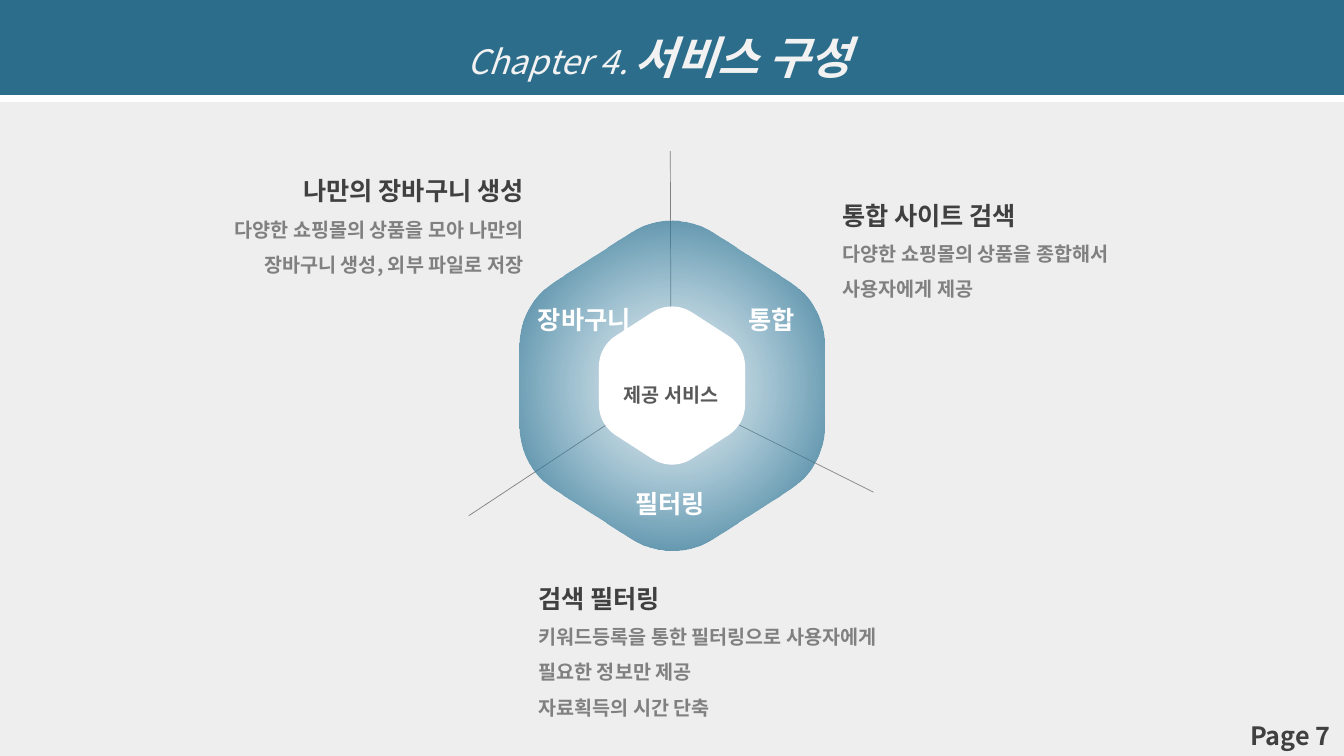
from dataclasses import dataclass
from math import atan2, cos, pi, sin

from lxml import etree
from pptx import Presentation
from pptx import util as u
from pptx.dml.color import RGBColor
from pptx.enum import shapes, text
from pptx.oxml import ns, parse_xml

LEFT, CENTER, RIGHT = text.PP_ALIGN.LEFT, text.PP_ALIGN.CENTER, text.PP_ALIGN.RIGHT


@dataclass(frozen=True)
class Theme:
    font: str = "Noto Sans CJK KR"
    background: str = "EEEEEE"
    banner: str = "2C6D8B"
    glow: str = "4CA0C6"
    white: str = "FFFFFF"
    title: str = "F2F2F2"
    heading: str = "404040"
    core: str = "595959"
    detail: str = "808080"
    title_size: int = 32
    chapter_size: int = 24
    heading_size: int = 18
    detail_size: int = 14
    divider_width: float = 0.5


@dataclass(frozen=True)
class Area:
    column: float
    row: float
    columns: float
    rows: float


@dataclass(frozen=True)
class Line:
    words: str
    size: int
    color: str
    bold: bool = True


@dataclass(frozen=True)
class Caption:
    area: Area
    heading: str
    details: tuple[str, ...]
    align: text.PP_ALIGN = LEFT


@dataclass(frozen=True)
class Label:
    area: Area
    line: Line


@dataclass(frozen=True)
class Divider:
    start: tuple[float, float]
    end: tuple[float, float]


THEME = Theme()
COLUMNS, ROWS = 160, 90
SLIDE_WIDTH, SLIDE_HEIGHT = u.Inches(13.33), u.Inches(7.5)

TITLE_AREA = Area(54.4, 2.9, 52.8, 7.7)
BANNER_AREA = Area(0, 0, COLUMNS, 11.3)
PAGE = Label(Area(147.2, 85.2, 12.8, 4.8),
             Line("Page 7", THEME.heading_size, THEME.heading))

CAPTIONS = (
    Caption(Area(99.1, 21.4, 43.1, 14.6), "통합 사이트 검색",
            ("다양한 쇼핑몰의 상품을 종합해서 사용자에게 제공",)),
    Caption(Area(62.9, 67, 43.1, 18.8), "검색 필터링",
            ("키워드등록을 통한 필터링으로 사용자에게 필요한 정보만 제공",
             "자료획득의 시간 단축")),
    Caption(Area(20.4, 18.5, 43.1, 14.6), "나만의 장바구니 생성",
            ("다양한 쇼핑몰의 상품을 모아 나만의 장바구니 생성, 외부 파일로 저장",), RIGHT),
)
LABELS = (
    Label(Area(72.4, 43.6, 15, 4.9), Line("제공 서비스", THEME.detail_size, THEME.core)),
    Label(Area(87.6, 33.8, 8.5, 6), Line("통합", THEME.heading_size, THEME.white)),
    Label(Area(62.3, 33.8, 14.5, 6), Line("장바구니", THEME.heading_size, THEME.white)),
    Label(Area(74, 55.7, 11.5, 6), Line("필터링", THEME.heading_size, THEME.white)),
)
DIVIDERS = (
    Divider((80.4, 46.8), (104, 58.6)),
    Divider((55.8, 61.4), (78.8, 46.2)),
    Divider((79.9, 48.4), (79.8, 18)),
)

HEXAGON_CENTER = (80, 45.9)
CORNER_RADIUS = 9
TIP_REACH = 10.62
SIDE_REACH = (9.12, 4.74)
CORE_SCALE = 0.48
ARC_STEPS = 12


def x(column: float) -> int:
    return round(SLIDE_WIDTH * column / COLUMNS)


def y(row: float) -> int:
    return round(SLIDE_HEIGHT * row / ROWS)


def box(area: Area) -> tuple[int, int, int, int]:
    return x(area.column), y(area.row), x(area.columns), y(area.rows)


def rgb(color: str) -> RGBColor:
    return RGBColor.from_string(color)


def style(paragraph, color: str) -> None:
    paragraph.font.name = THEME.font
    paragraph.font.color.rgb = rgb(color)
    defaults = paragraph._p.pPr.find(ns.qn("a:defRPr"))
    etree.SubElement(defaults, ns.qn("a:ea"), typeface=THEME.font)


def add_text(slide, area: Area, lines: list[Line], align: text.PP_ALIGN,
             wrap: bool = True, spacing: float = 1.5) -> None:
    frame = slide.shapes.add_textbox(*box(area)).text_frame
    frame.word_wrap = wrap
    frame.auto_size = text.MSO_AUTO_SIZE.SHAPE_TO_FIT_TEXT
    for number, line in enumerate(lines):
        paragraph = frame.add_paragraph() if number else frame.paragraphs[0]
        paragraph.text = line.words
        paragraph.alignment = align
        paragraph.line_spacing = spacing
        style(paragraph, line.color)
        paragraph.font.size = u.Pt(line.size)
        paragraph.font.bold = line.bold


def add_banner(slide) -> None:
    banner = slide.shapes.add_shape(shapes.MSO_SHAPE.RECTANGLE, *box(BANNER_AREA))
    banner.fill.solid()
    banner.fill.fore_color.rgb = rgb(THEME.banner)
    banner.line.fill.background()
    banner._element.spPr.append(parse_xml(
        f'<a:effectLst {ns.nsdecls("a")}><a:outerShdw dist="{u.Pt(5)}" dir="5400000" '
        f'algn="t" rotWithShape="0"><a:srgbClr val="{THEME.white}"/>'
        '</a:outerShdw></a:effectLst>'))


def add_title(slide) -> None:
    title = slide.shapes.title
    title.left, title.top, title.width, title.height = box(TITLE_AREA)
    frame = title.text_frame
    frame.vertical_anchor = text.MSO_ANCHOR.TOP
    frame.auto_size = text.MSO_AUTO_SIZE.SHAPE_TO_FIT_TEXT
    paragraph = frame.paragraphs[0]
    paragraph.alignment = LEFT
    style(paragraph, THEME.title)
    paragraph.font.italic = True
    for words, size, bold in (("Chapter 4. ", THEME.chapter_size, False),
                              ("서비스 구성", THEME.title_size, True)):
        run = paragraph.add_run()
        run.text = words
        run.font.size = u.Pt(size)
        run.font.bold = bold
    slide.shapes._spTree.append(title._element)


def add_divider(slide, divider: Divider) -> None:
    (x1, y1), (x2, y2) = divider.start, divider.end
    line = slide.shapes.add_connector(
        shapes.MSO_CONNECTOR.STRAIGHT, x(x1), y(y1), x(x2), y(y2))
    line.line.color.rgb = rgb(THEME.detail)
    line.line.width = u.Pt(THEME.divider_width)
    etree.SubElement(line._element.spPr, ns.qn("a:effectLst"))


def hexagon_points(scale: float) -> list[tuple[int, int]]:
    across, down = SIDE_REACH
    tilt = atan2(TIP_REACH - down, across)
    side = pi / 2 - tilt
    corners = (
        (0, -TIP_REACH, -pi / 2 - tilt, 2 * tilt),
        (across, -down, -side, side),
        (across, down, 0, side),
        (0, TIP_REACH, side, 2 * tilt),
        (-across, down, pi - side, side),
        (-across, -down, pi, side),
    )
    points = []
    for right, below, start, sweep in corners:
        for step in range(ARC_STEPS + 1):
            angle = start + sweep * step / ARC_STEPS
            points.append((
                x(HEXAGON_CENTER[0] + scale * (right + CORNER_RADIUS * cos(angle))),
                y(HEXAGON_CENTER[1] + scale * (below + CORNER_RADIUS * sin(angle)))))
    return points


def add_hexagon(slide, scale: float):
    first, *others = hexagon_points(scale)
    builder = slide.shapes.build_freeform(*first)
    builder.add_line_segments(others, close=True)
    hexagon = builder.convert_to_shape()
    hexagon.shadow.inherit = False
    hexagon.line.fill.background()
    hexagon.fill.solid()
    hexagon.fill.fore_color.rgb = rgb(THEME.white)
    return hexagon


def add_glow(hexagon) -> None:
    solid = hexagon._element.spPr.find(ns.qn("a:solidFill"))
    solid.getparent().replace(solid, parse_xml(
        f'<a:gradFill {ns.nsdecls("a")} rotWithShape="1"><a:gsLst>'
        f'<a:gs pos="0"><a:srgbClr val="{THEME.glow}"><a:alpha val="0"/></a:srgbClr></a:gs>'
        f'<a:gs pos="100000"><a:srgbClr val="{THEME.banner}"/></a:gs></a:gsLst>'
        '<a:path path="circle"><a:fillToRect l="50000" t="50000" r="50000" b="50000"/>'
        '</a:path></a:gradFill>'))


def main() -> None:
    deck = Presentation()
    deck.slide_width, deck.slide_height = SLIDE_WIDTH, SLIDE_HEIGHT
    slide = deck.slides.add_slide(deck.slide_layouts[5])
    slide.background.fill.solid()
    slide.background.fill.fore_color.rgb = rgb(THEME.background)
    add_banner(slide)
    add_title(slide)
    for divider in DIVIDERS:
        add_divider(slide, divider)
    add_glow(add_hexagon(slide, 1))
    add_hexagon(slide, CORE_SCALE)
    for label in LABELS:
        add_text(slide, label.area, [label.line], CENTER, wrap=False)
    for caption in CAPTIONS:
        lines = [Line(caption.heading, THEME.heading_size, THEME.heading)]
        lines += [Line(words, THEME.detail_size, THEME.detail) for words in caption.details]
        add_text(slide, caption.area, lines, caption.align)
    add_text(slide, PAGE.area, [PAGE.line], CENTER, spacing=1.0)
    deck.save("out.pptx")


if __name__ == "__main__":
    main()
